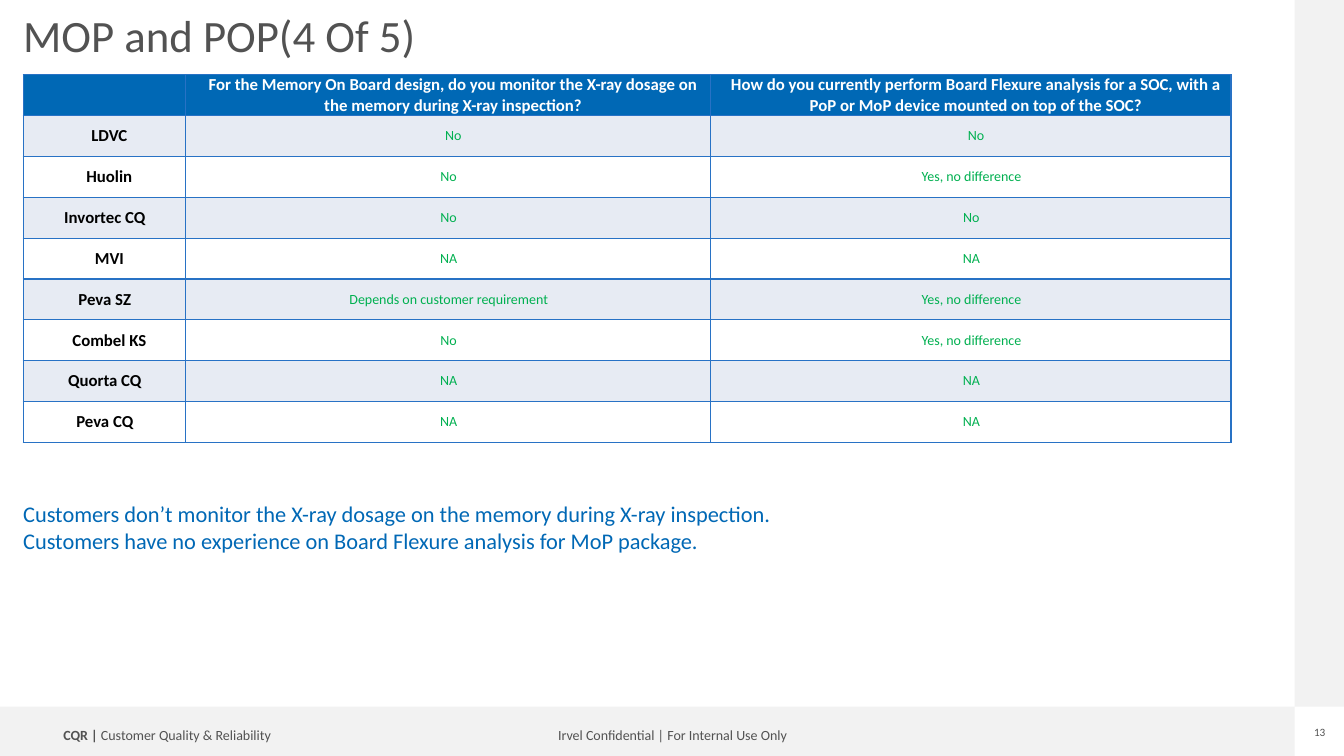
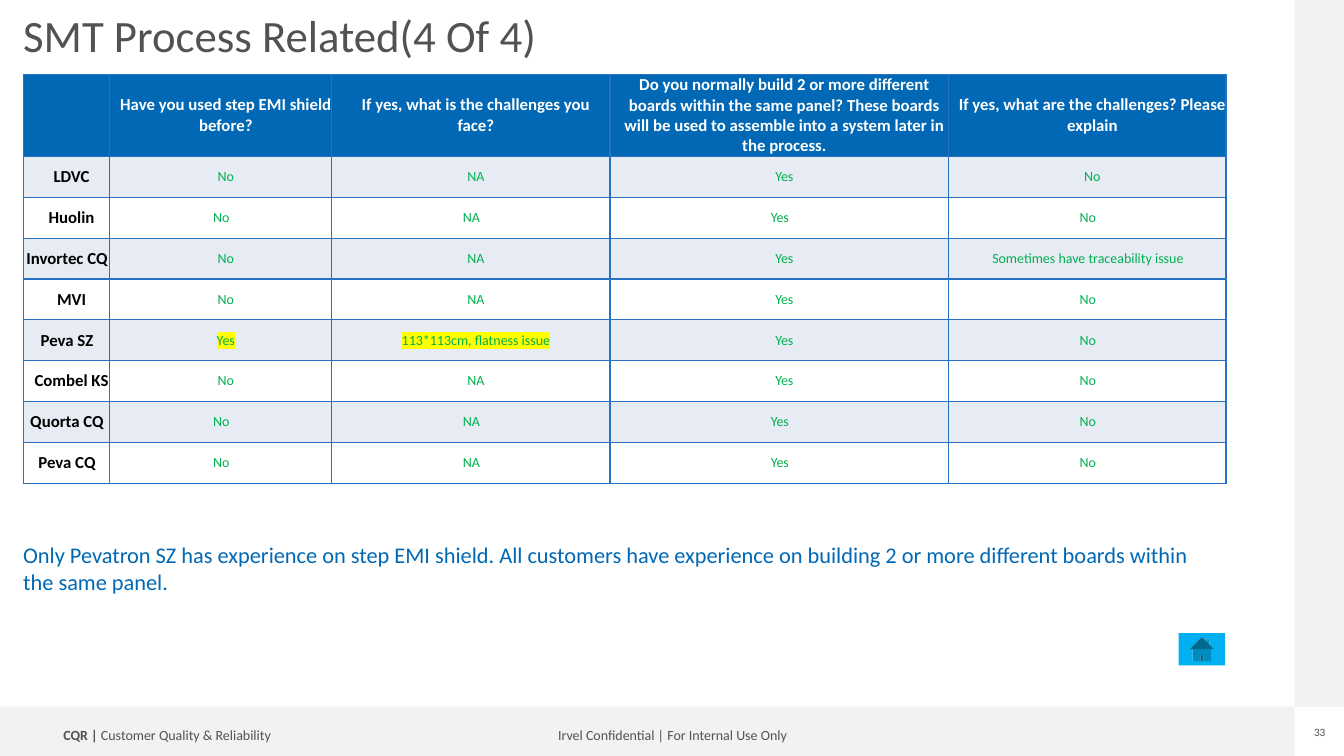
from lxml import etree
from pptx import Presentation
from pptx.dml.color import RGBColor
from pptx.enum.shapes import MSO_SHAPE
from pptx.enum.text import MSO_ANCHOR, PP_ALIGN
from pptx.oxml.ns import qn
from pptx.util import Inches, Pt

RECTANGLE = MSO_SHAPE.RECTANGLE
HOME_BUTTON = MSO_SHAPE.ACTION_BUTTON_HOME
MIDDLE = MSO_ANCHOR.MIDDLE
LEFT = PP_ALIGN.LEFT
CENTER = PP_ALIGN.CENTER

FONT = "Calibri"
COLORS = {
    "band": "F2F2F2",
    "gray": "525252",
    "blue": "0068B5",
    "border": "2872C5",
    "shade": "E7EBF3",
    "white": "FFFFFF",
    "black": "000000",
    "answer": "00B050",
    "highlight": "FFFF00",
    "button": "00B0F0",
}

MARGIN = 0.23
TABLE_TOP = 0.74
ROW_HEIGHT = 3.65 / 9
WIDE_INSET = 0.1
THIN_INSET = 0.01

SUPPLIERS = [
    ("LDVC", WIDE_INSET),
    ("Huolin", WIDE_INSET),
    ("Invortec CQ", THIN_INSET),
    ("MVI", WIDE_INSET),
    ("Peva SZ", THIN_INSET),
    ("Combel KS", WIDE_INSET),
    ("Quorta CQ", THIN_INSET),
    ("Peva CQ", THIN_INSET),
]

MEMORY_PAGE = {
    "number": "13",
    "title": "MOP and POP(4 Of 5)",
    "columns": [1.61, 5.21, 5.16],
    "header_rows": 1,
    "questions": [
        "For the Memory On Board design, do you monitor the X-ray dosage on the memory during X-ray inspection?",
        "How do you currently perform Board Flexure analysis for a SOC, with a PoP or MoP device mounted on top of the SOC?",
    ],
    "answers": [
        ["No", "No"],
        ["No", "Yes, no difference"],
        ["No", "No"],
        ["NA", "NA"],
        ["Depends on customer requirement", "Yes, no difference"],
        ["No", "Yes, no difference"],
        ["NA", "NA"],
        ["NA", "NA"],
    ],
    "wide_counts": [2, 0, 0, 0, 0, 0, 0, 0],
    "highlights": [],
    "summary_top": 4.96,
    "summary": [
        "Customers don’t monitor the X-ray dosage on the memory during X-ray inspection.",
        "Customers have no experience on Board Flexure analysis for MoP package.",
    ],
}

SMT_PAGE = {
    "number": "33",
    "title": "SMT Process Related(4 Of 4)",
    "columns": [0.86, 2.2, 2.76, 3.36, 2.75],
    "header_rows": 2,
    "questions": [
        "Have you used step EMI shield before?",
        "If yes, what is the challenges you face?",
        "Do you normally build 2 or more different boards within the same panel? These boards will be used to assemble into a system later in the process.",
        "If yes, what are the challenges? Please explain",
    ],
    "answers": [
        ["No", "NA", "Yes", "No"],
        ["No", "NA", "Yes", "No"],
        ["No", "NA", "Yes", "Sometimes have traceability issue"],
        ["No", "NA", "Yes", "No"],
        ["Yes", "113*113cm, flatness issue", "Yes", "No"],
        ["No", "NA", "Yes", "No"],
        ["No", "NA", "Yes", "No"],
        ["No", "NA", "Yes", "No"],
    ],
    "wide_counts": [4, 0, 3, 3, 3, 3, 0, 0],
    "highlights": [(5, 1), (5, 2)],
    "summary_top": 5.37,
    "summary": [
        "Only Pevatron SZ has experience on step EMI shield. All customers have experience on building 2 or more different boards within the same panel.",
    ],
}


def color(name):
    return RGBColor.from_string(COLORS[name])


def style_para(para, size, color_name, bold=False, align=LEFT):
    para.alignment = align
    para.font.name = FONT
    para.font.size = Pt(size)
    para.font.bold = bold
    para.font.color.rgb = color(color_name)


def add_block(page, left, top, width, height, fill, kind=RECTANGLE):
    block = page.shapes.add_shape(kind, Inches(left), Inches(top), Inches(width), Inches(height))
    block.shadow.inherit = False
    block.fill.solid()
    block.fill.fore_color.rgb = color(fill)
    block.line.fill.background()


def add_text(page, left, top, width, height, lines, size, color_name,
             align=LEFT, inset=(0, 0), wrap=True, spacing=None):
    box = page.shapes.add_textbox(Inches(left), Inches(top), Inches(width), Inches(height))
    frame = box.text_frame
    frame.word_wrap = wrap
    frame.margin_left = frame.margin_right = Inches(inset[0])
    frame.margin_top = frame.margin_bottom = Inches(inset[1])
    for index, line in enumerate(lines):
        para = frame.add_paragraph() if index else frame.paragraphs[0]
        style_para(para, size, color_name, align=align)
        if spacing:
            para.line_spacing = spacing
        para.add_run().text = line
    return frame


def add_frame(page, number):
    add_block(page, 0, 7.01, 12.84, 0.49, "band")
    add_block(page, 12.84, 0, 0.49, 7.01, "band")
    footer = {"size": 10, "color_name": "gray", "inset": (0.1, 0.05), "wrap": False, "spacing": 0.9}
    add_text(page, 5.29, 7.18, 2.76, 0.25, ["Irvel Confidential | For Internal Use Only"],
             align=CENTER, **footer)
    team = add_text(page, 0.53, 7.18, 2.54, 0.25, ["CQR | "], **footer)
    para = team.paragraphs[0]
    para.runs[0].font.bold = True
    para.add_run().text = "Customer Quality & Reliability"
    add_text(page, 13.02, 7.2, 0.14, 0.13, [number], 8, "gray", CENTER, wrap=False)


def draw_borders(cell):
    properties = cell._tc.get_or_add_tcPr()
    for index, side in enumerate(("a:lnL", "a:lnR", "a:lnT", "a:lnB")):
        line = etree.Element(qn(side), w=str(Pt(1)))
        fill = etree.SubElement(line, qn("a:solidFill"))
        etree.SubElement(fill, qn("a:srgbClr"), val=COLORS["border"])
        properties.insert(index, line)


def highlight(span):
    properties = span._r.get_or_add_rPr()
    mark = etree.SubElement(properties, qn("a:highlight"))
    etree.SubElement(mark, qn("a:srgbClr"), val=COLORS["highlight"])


def fill_cell(cell, text, fill, size, color_name, bold, inset):
    cell.fill.solid()
    cell.fill.fore_color.rgb = color(fill)
    draw_borders(cell)
    cell.vertical_anchor = MIDDLE
    cell.margin_left = Inches(inset)
    cell.margin_right = cell.margin_top = cell.margin_bottom = 0
    para = cell.text_frame.paragraphs[0]
    style_para(para, size, color_name, bold, CENTER)
    if text:
        para.add_run().text = text


def add_survey(page, left, top, content):
    widths = content["columns"]
    header_height = ROW_HEIGHT * content["header_rows"]
    height = header_height + ROW_HEIGHT * len(SUPPLIERS)
    table = page.shapes.add_table(len(SUPPLIERS) + 1, len(widths), Inches(left), Inches(top),
                                  Inches(sum(widths)), Inches(height)).table
    table.horz_banding = False
    for column, width in zip(table.columns, widths):
        column.width = Inches(width)
    for index, row in enumerate(table.rows):
        row.height = Inches(ROW_HEIGHT if index else header_height)
    for index, question in enumerate([""] + content["questions"]):
        fill_cell(table.cell(0, index), question, "blue", 12, "white", True, WIDE_INSET)
    records = zip(SUPPLIERS, content["answers"], content["wide_counts"])
    for index, ((name, inset), answers, wide_count) in enumerate(records, 1):
        fill = "shade" if index % 2 else "white"
        fill_cell(table.cell(index, 0), name, fill, 12, "black", True, inset)
        for column, answer in enumerate(answers, 1):
            answer_inset = WIDE_INSET if column <= wide_count else THIN_INSET
            fill_cell(table.cell(index, column), answer, fill, 10, "answer", False, answer_inset)
    for row, column in content["highlights"]:
        highlight(table.cell(row, column).text_frame.paragraphs[0].runs[0])


def add_survey_page(deck, content):
    page = deck.slides.add_slide(deck.slide_layouts[6])
    add_frame(page, content["number"])
    add_text(page, MARGIN, 0.14, 12.04, 1.04, [content["title"]], 32, "gray", spacing=0.9)
    add_survey(page, MARGIN, TABLE_TOP, content)
    add_text(page, MARGIN, content["summary_top"], 11.69, 0.54, content["summary"], 16, "blue")
    return page


def main():
    deck = Presentation()
    deck.slide_width = Inches(13.33)
    deck.slide_height = Inches(7.5)
    add_survey_page(deck, MEMORY_PAGE)
    smt_page = add_survey_page(deck, SMT_PAGE)
    add_block(smt_page, 11.69, 6.28, 0.46, 0.32, "button", HOME_BUTTON)
    deck.save("out.pptx")


if __name__ == "__main__":
    main()
